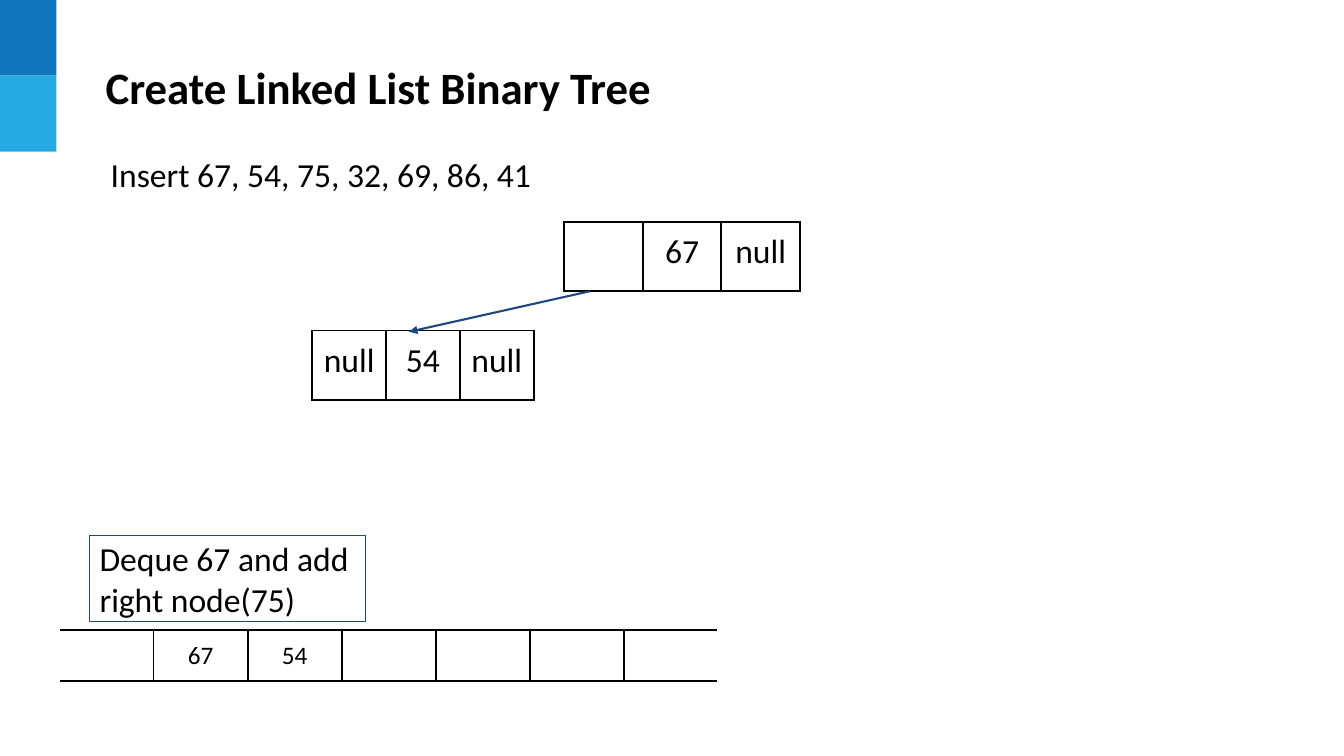
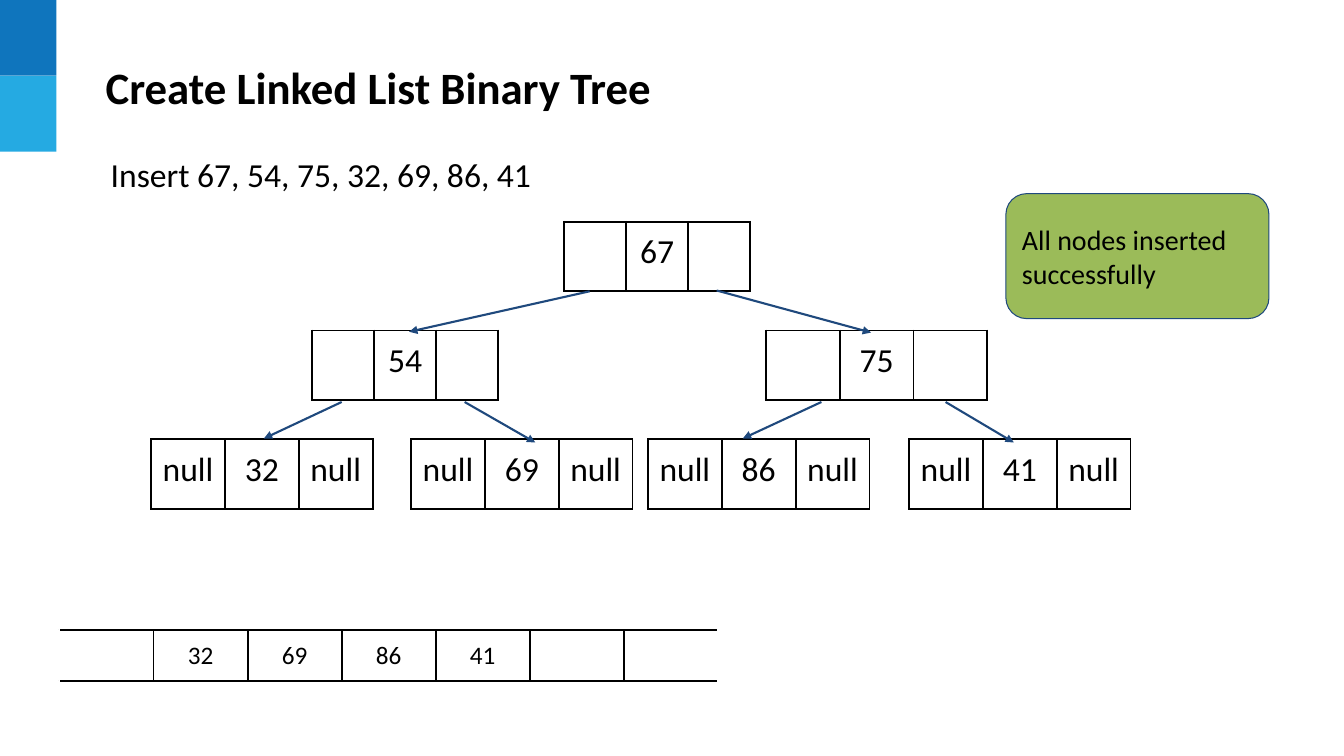
from lxml.etree import SubElement
from pptx import Presentation
from pptx.dml.color import RGBColor
from pptx.enum.shapes import MSO_CONNECTOR as CONN, MSO_SHAPE as SHAPE
from pptx.enum.text import MSO_ANCHOR as ANCHOR, PP_ALIGN as ALIGN
from pptx.oxml.ns import qn
from pptx.util import Cm, Pt

FONT = "Calibri"
BLACK = RGBColor(0x00, 0x00, 0x00)
WHITE = RGBColor(0xFF, 0xFF, 0xFF)
NAVY = RGBColor(0x1F, 0x49, 0x7D)
GREEN = RGBColor(0x9B, 0xBB, 0x59)
BAND_COLORS = (RGBColor(0x0F, 0x75, 0xBD), RGBColor(0x25, 0xAA, 0xE2))

TITLE = "Create Linked List Binary Tree"
INSERT_ORDER = "Insert 67, 54, 75, 32, 69, 86, 41"

BAND_W, BAND_H = 1.42, 1.91
INSET = 0.25
LEVEL_TOP, LEVEL_STEP = 5.59, 2.74
NODE_H = 1.75
NARROW, MEDIUM, WIDE = 1.56, 1.86, 1.98
QUEUE_LEFT, QUEUE_TOP = 1.5, 15.88
QUEUE_W, QUEUE_H = 2.37, 1.27
QUEUE_CELLS = 7

ROOT_TO_LEFT = ((14.86, 7.34), (10.31, 8.36))
ROOT_TO_RIGHT = ((18.06, 7.32), (21.95, 8.38))
LEAF_ARROWS = (
    ((8.61, 10.13), (6.65, 11.05)),
    ((11.71, 10.13), (13.49, 11.15)),
    ((20.7, 10.13), (18.72, 11.05)),
    ((23.83, 10.13), (25.55, 11.15)),
)
LEAVES = ((3.81, "32"), (10.36, "69"), (16.33, "86"), (22.91, "41"))


def write(tf, text, size, bold=False, align=ALIGN.LEFT):
    tf.text = text
    p = tf.paragraphs[0]
    p.alignment = align
    p.font.size = Pt(size)
    for r in p.runs:
        r.font.name = FONT
        r.font.size = Pt(size)
        r.font.bold = bold
        r.font.color.rgb = BLACK


def set_insets(tf, vertical):
    tf.margin_left = tf.margin_right = Cm(INSET)
    tf.margin_top = tf.margin_bottom = Cm(vertical)
    tf.vertical_anchor = ANCHOR.MIDDLE
    tf.word_wrap = True


def add_box(slide, kind, left, top, width, height, fill):
    sp = slide.shapes.add_shape(kind, Cm(left), Cm(top), Cm(width), Cm(height))
    sp.shadow.inherit = False
    sp.fill.solid()
    sp.fill.fore_color.rgb = fill
    sp.line.fill.background()
    return sp


def add_note(slide, kind, left, top, width, height, fill, text, size):
    sp = add_box(slide, kind, left, top, width, height, fill)
    sp.line.color.rgb = NAVY
    sp.line.width = Pt(0.75)
    set_insets(sp.text_frame, INSET)
    write(sp.text_frame, text, size)


def add_layout_bands(slide):
    tree = slide.slide_layout.shapes.element
    for i, color in enumerate(BAND_COLORS):
        sp = add_box(slide, SHAPE.RECTANGLE, 0, i * BAND_H, BAND_W, BAND_H, color)
        tree.insert(2 + i, sp.element)


def add_heading(slide):
    title = slide.shapes.title
    title.left, title.top = Cm(2.41), Cm(0.61)
    title.width, title.height = Cm(30.35), Cm(3.15)
    set_insets(title.text_frame, 0.13)
    write(title.text_frame, TITLE, 32, bold=True)

    box = slide.shapes.add_textbox(Cm(2.54), Cm(3.76), Cm(14.4), Cm(1.27))
    set_insets(box.text_frame, 0.13)
    write(box.text_frame, INSERT_ORDER, 24)


def set_borders(cell, left=BLACK, right=BLACK):
    tc_pr = cell._tc.get_or_add_tcPr()
    sides = (("a:lnL", left), ("a:lnR", right), ("a:lnT", BLACK), ("a:lnB", BLACK))
    for tag, color in sides:
        ln = SubElement(tc_pr, qn(tag), w=str(Pt(1.5)))
        solid = SubElement(ln, qn("a:solidFill"))
        SubElement(solid, qn("a:srgbClr"), val=str(color))


def add_row(slide, left, top, cell_w, height, values, size, open_ends=False):
    last = len(values) - 1
    frame = slide.shapes.add_table(
        1, len(values), Cm(left), Cm(top), Cm(cell_w * len(values)), Cm(height))
    table = frame.table
    table.first_row = table.horz_banding = False
    table.rows[0].height = Cm(height)
    for i, value in enumerate(values):
        table.columns[i].width = Cm(cell_w)
        cell = table.cell(0, i)
        cell.margin_left = cell.margin_right = Cm(INSET)
        cell.margin_top = cell.margin_bottom = Cm(INSET)
        set_borders(cell,
                    left=WHITE if open_ends and i == 0 else BLACK,
                    right=WHITE if open_ends and i == last else BLACK)
        cell.fill.background()
        write(cell.text_frame, value, size, align=ALIGN.CENTER)


def add_node(slide, left, level, cell_w, values):
    top = LEVEL_TOP + level * LEVEL_STEP
    add_row(slide, left, top, cell_w, NODE_H, values, 24)


def add_queue(slide, items):
    values = [""] + items + [""] * (QUEUE_CELLS - 1 - len(items))
    add_row(slide, QUEUE_LEFT, QUEUE_TOP, QUEUE_W, QUEUE_H, values, 18, open_ends=True)


def add_arrow(slide, start, end):
    ends = [Cm(v) for v in start + end]
    line = slide.shapes.add_connector(CONN.STRAIGHT, *ends)
    line.line.color.rgb = NAVY
    line.line.width = Pt(1.5)
    sp_pr = line.element.spPr
    SubElement(sp_pr.find(qn("a:ln")), qn("a:tailEnd"), type="triangle")
    SubElement(sp_pr, qn("a:effectLst"))


def build_first_insert(slide):
    add_node(slide, 14.22, 0, WIDE, ["", "67", "null"])
    add_node(slide, 7.87, 1, MEDIUM, ["null", "54", "null"])
    add_arrow(slide, *ROOT_TO_LEFT)
    add_queue(slide, ["67", "54"])
    add_note(slide, SHAPE.RECTANGLE, 2.26, 13.49, 6.96, 2.18, WHITE,
             "Deque 67 and add right node(75)", 24)


def build_full_tree(slide):
    add_node(slide, 14.22, 0, NARROW, ["", "67", ""])
    add_node(slide, 7.87, 1, NARROW, ["", "54", ""])
    add_node(slide, 19.3, 1, MEDIUM, ["", "75", ""])
    for left, value in LEAVES:
        add_node(slide, left, 2, MEDIUM, ["null", value, "null"])
    for start, end in (ROOT_TO_LEFT, ROOT_TO_RIGHT) + LEAF_ARROWS:
        add_arrow(slide, start, end)
    add_queue(slide, [value for _, value in LEAVES])
    add_note(slide, SHAPE.ROUNDED_RECTANGLE, 25.35, 4.88, 6.63, 3.15, GREEN,
             "All nodes inserted successfully", 20)


def main():
    prs = Presentation()
    prs.slide_width, prs.slide_height = Cm(33.87), Cm(19.05)
    layout = prs.slide_layouts[5]
    for i, build in enumerate((build_first_insert, build_full_tree)):
        slide = prs.slides.add_slide(layout)
        if i == 0:
            add_layout_bands(slide)
        add_heading(slide)
        build(slide)
    prs.save("out.pptx")


if __name__ == "__main__":
    main()
